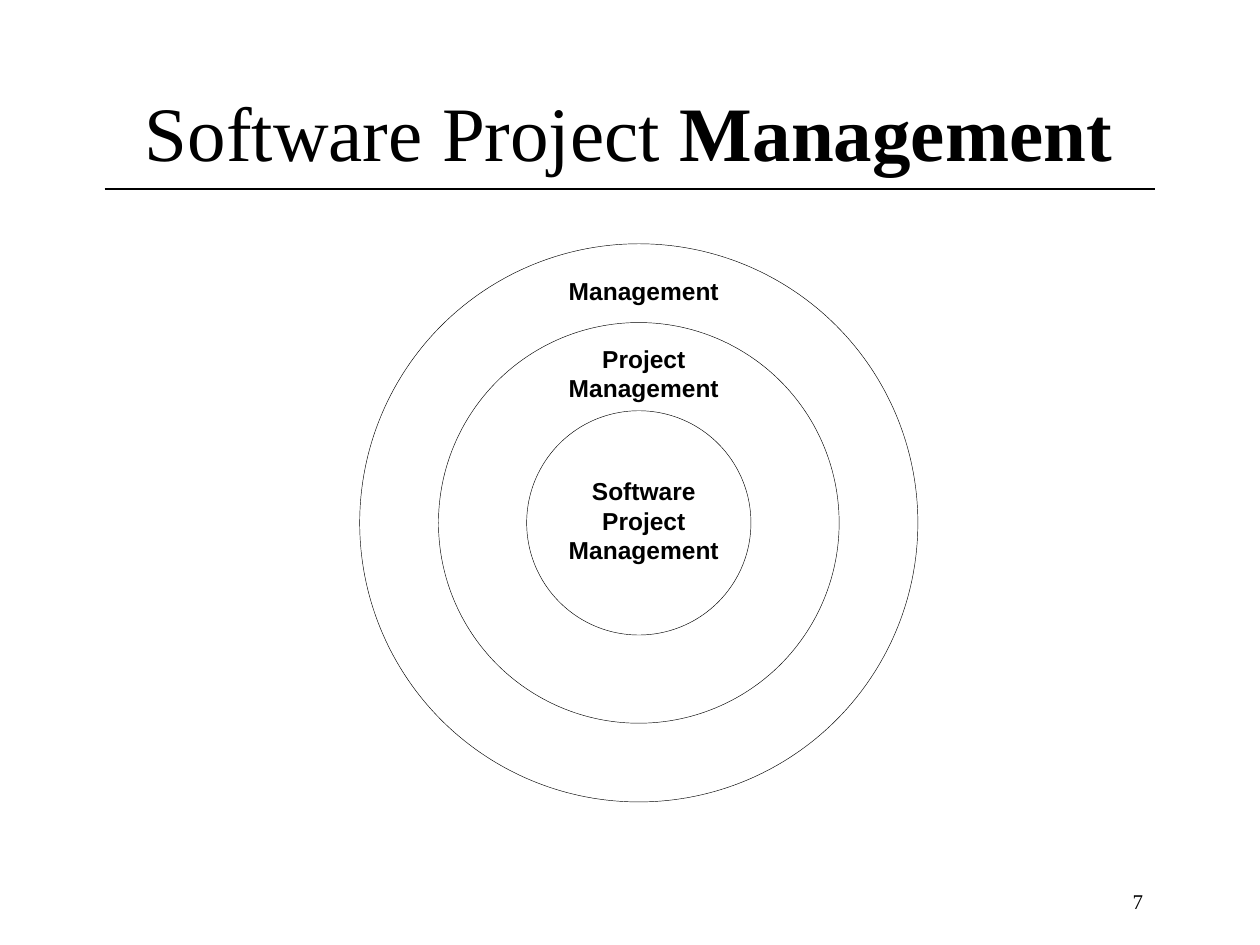
from dataclasses import dataclass

import pptx
import pptx.dml.color
import pptx.enum.shapes
import pptx.enum.text
import pptx.oxml
import pptx.oxml.ns
import pptx.slide
import pptx.text.text
import pptx.util

# The slide is a grid of square cells: 100 columns by 75 rows
CELL = pptx.util.Inches(0.1)
COLUMNS, ROWS = 100, 75


@dataclass(frozen=True)
class Theme:
    ink: pptx.dml.color.RGBColor = pptx.dml.color.RGBColor(0, 0, 0)
    serif: str = "Times New Roman"
    sans: str = "Arial"
    title_size: float = 44
    label_size: float = 14
    number_size: float = 12
    label_leading: float = 16.8
    rule_width: float = 0.75
    ring_width: float = 0.25


@dataclass(frozen=True)
class Box:
    """A place on the grid, in columns and rows."""
    left: float
    top: float
    width: float
    height: float

    def lengths(self) -> tuple[int, ...]:
        return tuple(cells(n) for n in (self.left, self.top, self.width, self.height))


@dataclass(frozen=True)
class Label:
    box: Box
    paragraphs: tuple[str, ...]


THEME = Theme()
RING_CENTRE = (50.7, 41.5)
RING_DIAMETERS = (44.3, 31.8, 17.8)
RING_LABELS = (
    Label(Box(44.6, 21.8, 13, 10.2), ("Management", "Project Management")),
    Label(Box(44.6, 37.7, 13, 7.3), ("Software Project Management",)),
)
LABEL_GAP = 22  # points between the labels of the two outer rings


def cells(count: float) -> int:
    return round(count * CELL)


def prepare_frame(frame: pptx.text.text.TextFrame, top_inset: float = 0) -> None:
    frame.word_wrap = True
    frame.auto_size = pptx.enum.text.MSO_AUTO_SIZE.NONE
    frame.vertical_anchor = pptx.enum.text.MSO_ANCHOR.TOP
    frame.margin_left = frame.margin_right = frame.margin_bottom = 0
    frame.margin_top = cells(top_inset)


def set_font(paragraph, name: str, size: float, bold: bool = False) -> None:
    paragraph.font.name = name
    paragraph.font.size = pptx.util.Pt(size)
    paragraph.font.bold = bold
    paragraph.font.color.rgb = THEME.ink


def add_title(slide: pptx.slide.Slide, box: Box, plain: str, strong: str) -> None:
    title = slide.shapes.title
    title.left, title.top, title.width, title.height = box.lengths()
    prepare_frame(title.text_frame, 0.1)
    paragraph = title.text_frame.paragraphs[0]
    paragraph.alignment = pptx.enum.text.PP_ALIGN.LEFT
    paragraph.space_before = pptx.util.Pt(1)
    set_font(paragraph, THEME.serif, THEME.title_size)
    paragraph.add_run().text = plain
    strong_run = paragraph.add_run()
    strong_run.text = strong
    strong_run.font.bold = True


def add_rule(slide: pptx.slide.Slide, left: float, right: float, row: float) -> None:
    rule = slide.shapes.add_connector(
        pptx.enum.shapes.MSO_CONNECTOR.STRAIGHT,
        cells(left), cells(row), cells(right), cells(row))
    rule.line.color.rgb = THEME.ink
    rule.line.width = pptx.util.Pt(THEME.rule_width)
    properties = rule._element.spPr
    properties.append(pptx.oxml.parse_xml(
        f"<a:effectLst {pptx.oxml.ns.nsdecls('a')}/>"))


def add_ring(slide: pptx.slide.Slide, diameter: float) -> None:
    column, row = RING_CENTRE
    box = Box(column - diameter / 2, row - diameter / 2, diameter, diameter)
    ring = slide.shapes.add_shape(pptx.enum.shapes.MSO_SHAPE.OVAL, *box.lengths())
    ring.shadow.inherit = False
    ring.fill.background()
    ring.line.color.rgb = THEME.ink
    ring.line.width = pptx.util.Pt(THEME.ring_width)


def add_label(slide: pptx.slide.Slide, label: Label) -> None:
    frame = slide.shapes.add_textbox(*label.box.lengths()).text_frame
    prepare_frame(frame, 0.1)
    for index, text in enumerate(label.paragraphs):
        paragraph = frame.add_paragraph() if index else frame.paragraphs[0]
        paragraph.text = text
        paragraph.alignment = pptx.enum.text.PP_ALIGN.CENTER
        paragraph.line_spacing = pptx.util.Pt(THEME.label_leading)
        paragraph.space_before = pptx.util.Pt(LABEL_GAP if index else 1)
        set_font(paragraph, THEME.sans, THEME.label_size, bold=True)


def add_page_number(slide: pptx.slide.Slide, box: Box, number: str) -> None:
    frame = slide.shapes.add_textbox(*box.lengths()).text_frame
    prepare_frame(frame)
    paragraph = frame.paragraphs[0]
    paragraph.text = number
    set_font(paragraph, THEME.serif, THEME.number_size)


def main() -> None:
    presentation = pptx.Presentation()
    presentation.slide_width = cells(COLUMNS)
    presentation.slide_height = cells(ROWS)
    title_only = presentation.slide_layouts[5]
    slide = presentation.slides.add_slide(title_only)

    # Heading with its rule
    add_rule(slide, 8.3, 91.7, 15)
    add_title(slide, Box(11.5, 6.6, 78, 7.6), "Software Project ", "Management")

    # Concentric rings, from the widest field to the narrowest
    for diameter in RING_DIAMETERS:
        add_ring(slide, diameter)
    for label in RING_LABELS:
        add_label(slide, label)

    # Page number
    add_page_number(slide, Box(89.9, 70.5, 2, 2.1), "7")
    presentation.save("out.pptx")


if __name__ == "__main__":
    main()
